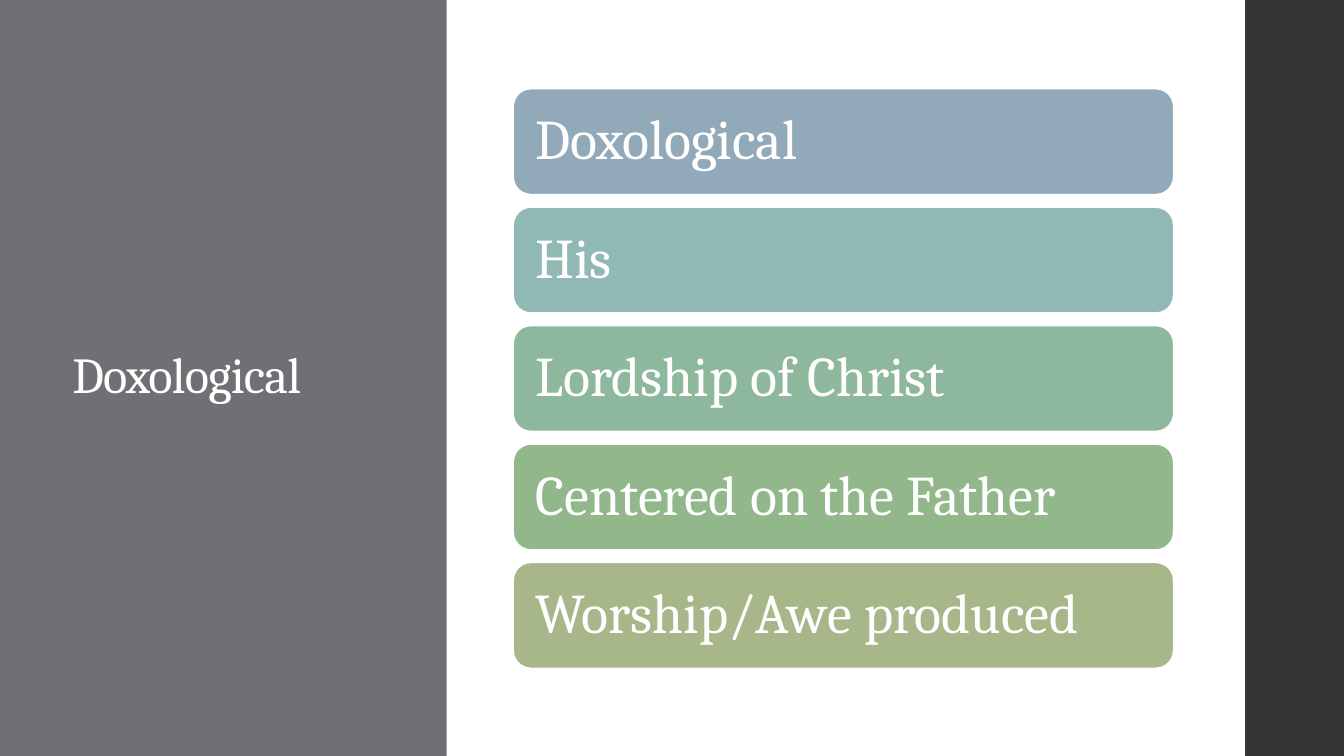
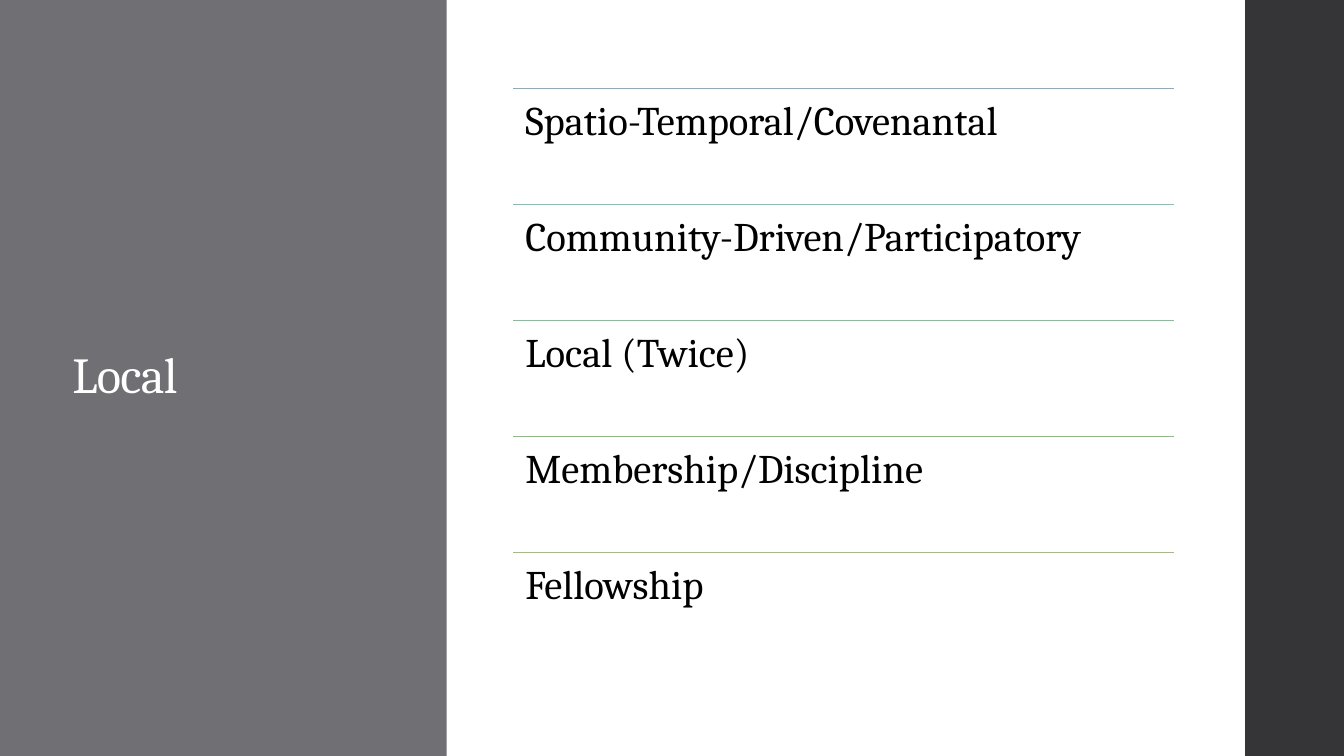
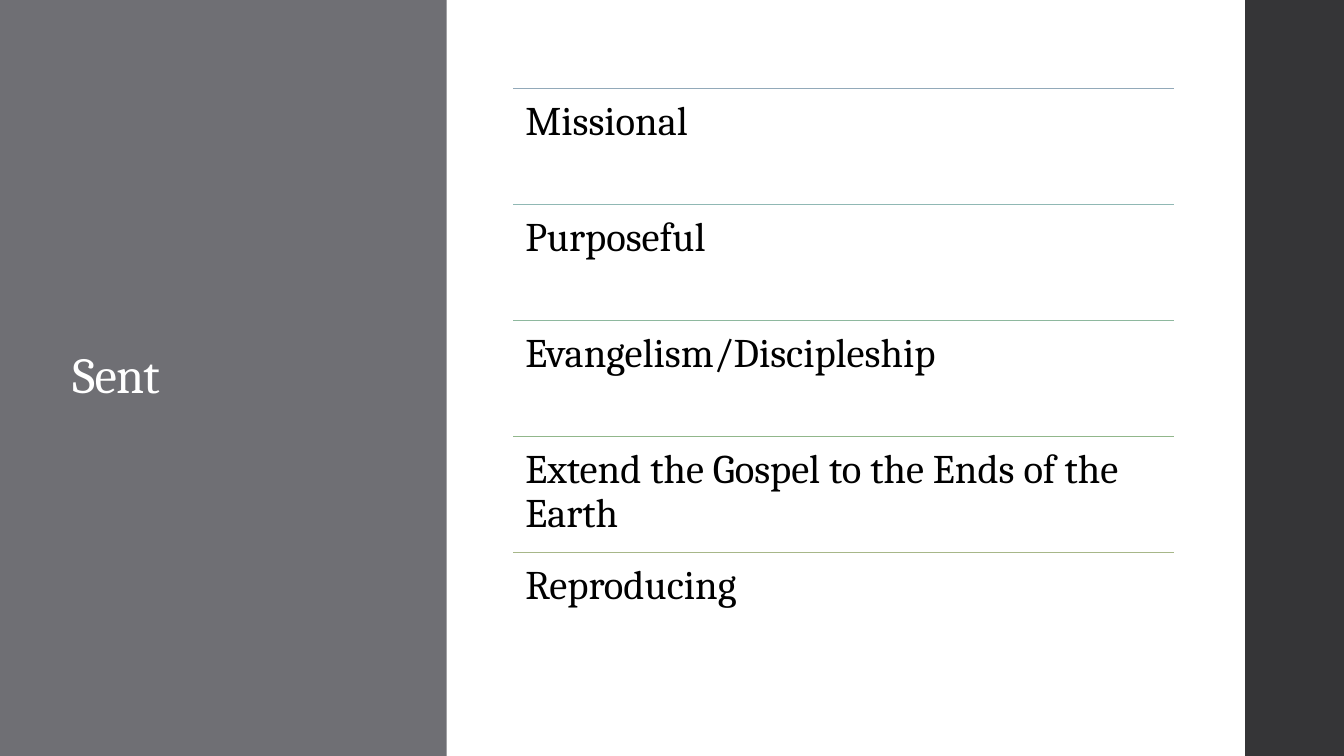
from collections import namedtuple
from dataclasses import dataclass

from lxml import etree
from pptx import Presentation
from pptx import util as u
from pptx.dml import color
from pptx.enum import shapes, text
from pptx.oxml import ns

Box = namedtuple("Box", "x y w h")


@dataclass(frozen=True)
class Theme:
    font: str = "Cambria"
    panel: str = "6F6F74"
    edge: str = "353537"
    light: str = "FFFFFF"
    dark: str = "000000"
    accents: tuple = ("92A9B9", "90B8B4", "8EB89E", "91B78B", "A7B789")
    title_size: float = 36
    card_size: float = 40
    item_size: float = 29
    line_width: float = 1.1
    leading: float = 0.9


THEME = Theme()
SLIDE = Box(0, 0, 13.33, 7.5)
PANEL = Box(0, 0, 4.43, SLIDE.h)
EDGE = Box(12.35, 0, SLIDE.w - 12.35, SLIDE.h)
TITLE = Box(0.62, 0.91, 2.97, 5.67)
CONTENT = Box(5.09, 0.88, 6.55, 5.75)


def emu(box):
    return [u.Inches(v) for v in box]


def rgb(value):
    return color.RGBColor.from_string(value)


def rows(box, count, gap=0):
    h = (box.h - gap * (count - 1)) / count
    return [Box(box.x, box.y + i * (h + gap), box.w, h) for i in range(count)]


def write(sp, words, size, ink, inset, anchor):
    tf = sp.text_frame
    tf.word_wrap = True
    tf.vertical_anchor = anchor
    tf.margin_left = tf.margin_right = u.Inches(inset)
    tf.margin_top = tf.margin_bottom = u.Inches(inset)
    p = tf.paragraphs[0]
    p.text = words
    p.alignment = text.PP_ALIGN.LEFT
    p.line_spacing = THEME.leading
    p.font.name = THEME.font
    p.font.size = u.Pt(size)
    p.font.color.rgb = rgb(ink)
    return p


def add_block(s, kind, box, fill, outline=None):
    sp = s.shapes.add_shape(kind, *emu(box))
    sp.shadow.inherit = False
    sp.fill.solid()
    sp.fill.fore_color.rgb = rgb(fill)
    if outline:
        sp.line.color.rgb = rgb(outline)
        sp.line.width = u.Pt(THEME.line_width)
    else:
        sp.line.fill.background()
    return sp


def add_rule(s, box, ink):
    x, y, w, _ = emu(box)
    line = s.shapes.add_connector(shapes.MSO_CONNECTOR.STRAIGHT, x, y, x + w, y)
    line.line.color.rgb = rgb(ink)
    line.line.width = u.Pt(THEME.line_width)
    etree.SubElement(line._element.spPr, ns.qn("a:effectLst"))


def add_frame(s, title):
    rect = shapes.MSO_SHAPE.RECTANGLE
    add_block(s, rect, PANEL, THEME.panel)
    add_block(s, rect, EDGE, THEME.edge)
    sp = s.shapes.add_textbox(*emu(TITLE))
    p = write(sp, title, THEME.title_size, THEME.light, 0.1, text.MSO_ANCHOR.MIDDLE)
    p._p.get_or_add_pPr().get_or_add_defRPr().set("spc", "-50")


def add_cards(s, box, items):
    for row, item, fill in zip(rows(box, len(items), 0.125), items, THEME.accents):
        sp = add_block(s, shapes.MSO_SHAPE.ROUNDED_RECTANGLE, row, fill, THEME.light)
        write(sp, item, THEME.card_size, THEME.light, 0.17, text.MSO_ANCHOR.MIDDLE)


def add_ruled_list(s, box, items):
    for row, item, ink in zip(rows(box, len(items)), items, THEME.accents):
        add_rule(s, row, ink)
        sp = s.shapes.add_textbox(*emu(row))
        write(sp, item, THEME.item_size, THEME.dark, 0.12, text.MSO_ANCHOR.TOP)


SLIDES = [
    ("Doxological", add_cards, [
        "Doxological",
        "His",
        "Lordship of Christ",
        "Centered on the Father",
        "Worship/Awe produced",
    ]),
    ("Local", add_ruled_list, [
        "Spatio-Temporal/Covenantal",
        "Community-Driven/Participatory",
        "Local (Twice)",
        "Membership/Discipline",
        "Fellowship",
    ]),
    ("Sent", add_ruled_list, [
        "Missional",
        "Purposeful",
        "Evangelism/Discipleship",
        "Extend the Gospel to the Ends of the Earth",
        "Reproducing",
    ]),
]


def main():
    prs = Presentation()
    prs.slide_width, prs.slide_height = u.Inches(SLIDE.w), u.Inches(SLIDE.h)
    for title, add_content, items in SLIDES:
        s = prs.slides.add_slide(prs.slide_layouts[6])
        add_frame(s, title)
        add_content(s, CONTENT, items)
    prs.save("out.pptx")


if __name__ == "__main__":
    main()
